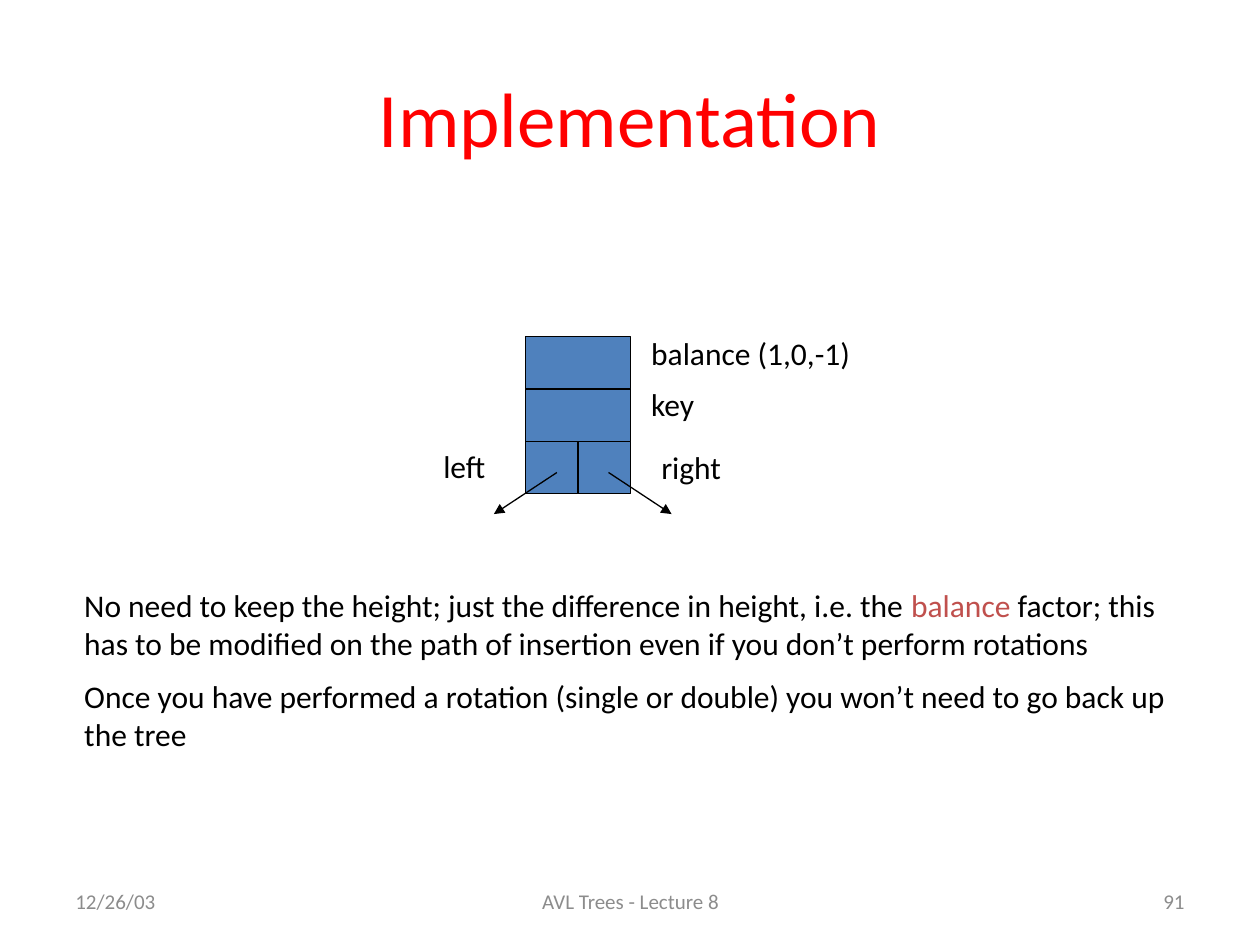
import pptx
import pptx.dml.color
import pptx.enum.shapes
import pptx.enum.text
import pptx.oxml.ns
import pptx.util
from lxml import etree
from pptx.util import Inches

BLACK = pptx.dml.color.RGBColor(0x00, 0x00, 0x00)
RED = pptx.dml.color.RGBColor(0xFF, 0x00, 0x00)
GREY = pptx.dml.color.RGBColor(0x8C, 0x8C, 0x8C)
BLUE = pptx.dml.color.RGBColor(0x4F, 0x81, 0xBD)
BRICK = pptx.dml.color.RGBColor(0xC0, 0x50, 0x4D)

ALIGN = pptx.enum.text.PP_ALIGN
ANCHOR = pptx.enum.text.MSO_ANCHOR
LINE_WIDTH = pptx.util.Pt(0.75)
CELL = 1.25 / 3
NODE_LEFT, NODE_TOP = 4.17, 2.67

FOOTERS = [
    (0.5, 2.33, "12/26/03", ALIGN.LEFT),
    (3.42, 3.17, "AVL Trees - Lecture 8", ALIGN.CENTER),
    (7.17, 2.33, "91", ALIGN.RIGHT),
]
LABELS = [
    (5.07, 2.6, 2.14, "balance (1,0,-1)"),
    (5.07, 3.01, 0.63, "key"),
    (5.15, 3.51, 0.74, "right"),
    (3.42, 3.5, 0.57, "left"),
]
# Column, row and width of each field, counted in cells
FIELDS = [(0, 0, 2), (0, 1, 2), (0, 2, 1), (1, 2, 1)]
POINTERS = [(4.42, 3.92), (4.83, 5.33)]
NOTES = [
    [
        ("No need to keep the height; just the difference in height, i.e. the ", BLACK),
        ("balance", BRICK),
        (" factor; this has to be modified on the path of insertion even if you "
         "don’t perform rotations", BLACK),
    ],
    [("Once you have performed a rotation (single or double) you won’t need to go "
      "back up the tree", BLACK)],
]


def apply_format(target, values):
    for name, value in values.items():
        setattr(target, name, value)


def add_text(slide, box, paragraphs, size, align=ALIGN.LEFT, anchor=ANCHOR.TOP, wrap=True):
    """Add a text box; each paragraph is a list of (text, colour) runs."""
    frame = slide.shapes.add_textbox(*map(Inches, box)).text_frame
    apply_format(frame, {"word_wrap": wrap, "vertical_anchor": anchor})
    for index, runs in enumerate(paragraphs):
        paragraph = frame.add_paragraph() if index else frame.paragraphs[0]
        paragraph.alignment = align
        if index:
            paragraph.space_before = pptx.util.Pt(size / 2)
        for text, color in runs:
            run = paragraph.add_run()
            run.text = text
            apply_format(run.font, {"name": "Calibri", "size": pptx.util.Pt(size)})
            run.font.color.rgb = color


def add_field(slide, column, row, span):
    shape = slide.shapes.add_shape(
        pptx.enum.shapes.MSO_SHAPE.RECTANGLE,
        Inches(NODE_LEFT + column * CELL), Inches(NODE_TOP + row * CELL),
        Inches(span * CELL), Inches(CELL))
    shape.shadow.inherit = False
    shape.fill.solid()
    shape.fill.fore_color.rgb = BLUE
    shape.line.color.rgb = BLACK
    shape.line.width = LINE_WIDTH


def add_pointer(slide, start_x, end_x):
    arrow = slide.shapes.add_connector(
        pptx.enum.shapes.MSO_CONNECTOR.STRAIGHT,
        Inches(start_x), Inches(3.75), Inches(end_x), Inches(4.08))
    arrow.line.color.rgb = BLACK
    arrow.line.width = LINE_WIDTH
    qn = pptx.oxml.ns.qn
    etree.SubElement(arrow.line._get_or_add_ln(), qn("a:tailEnd"), type="triangle")
    etree.SubElement(arrow._element.spPr, qn("a:effectLst"))


def main():
    presentation = pptx.Presentation()
    apply_format(presentation, {"slide_width": Inches(10), "slide_height": Inches(7.5)})
    slide = presentation.slides.add_slide(presentation.slide_layouts[6])

    for left, width, text, align in FOOTERS:
        add_text(slide, (left, 6.95, width, 0.4), [[(text, GREY)]], 12, align, ANCHOR.MIDDLE)
    add_text(slide, (0.5, 0.3, 9, 1.25), [[("Implementation", RED)]], 44,
             ALIGN.CENTER, ANCHOR.MIDDLE)
    for field in FIELDS:
        add_field(slide, *field)
    for pointer in POINTERS:
        add_pointer(slide, *pointer)
    for left, top, width, text in LABELS:
        add_text(slide, (left, top, width, 0.43), [[(text, BLACK)]], 18, wrap=False)
    add_text(slide, (0.57, 4.6, 8.85, 1.46), NOTES, 18)

    presentation.save("out.pptx")


if __name__ == "__main__":
    main()
